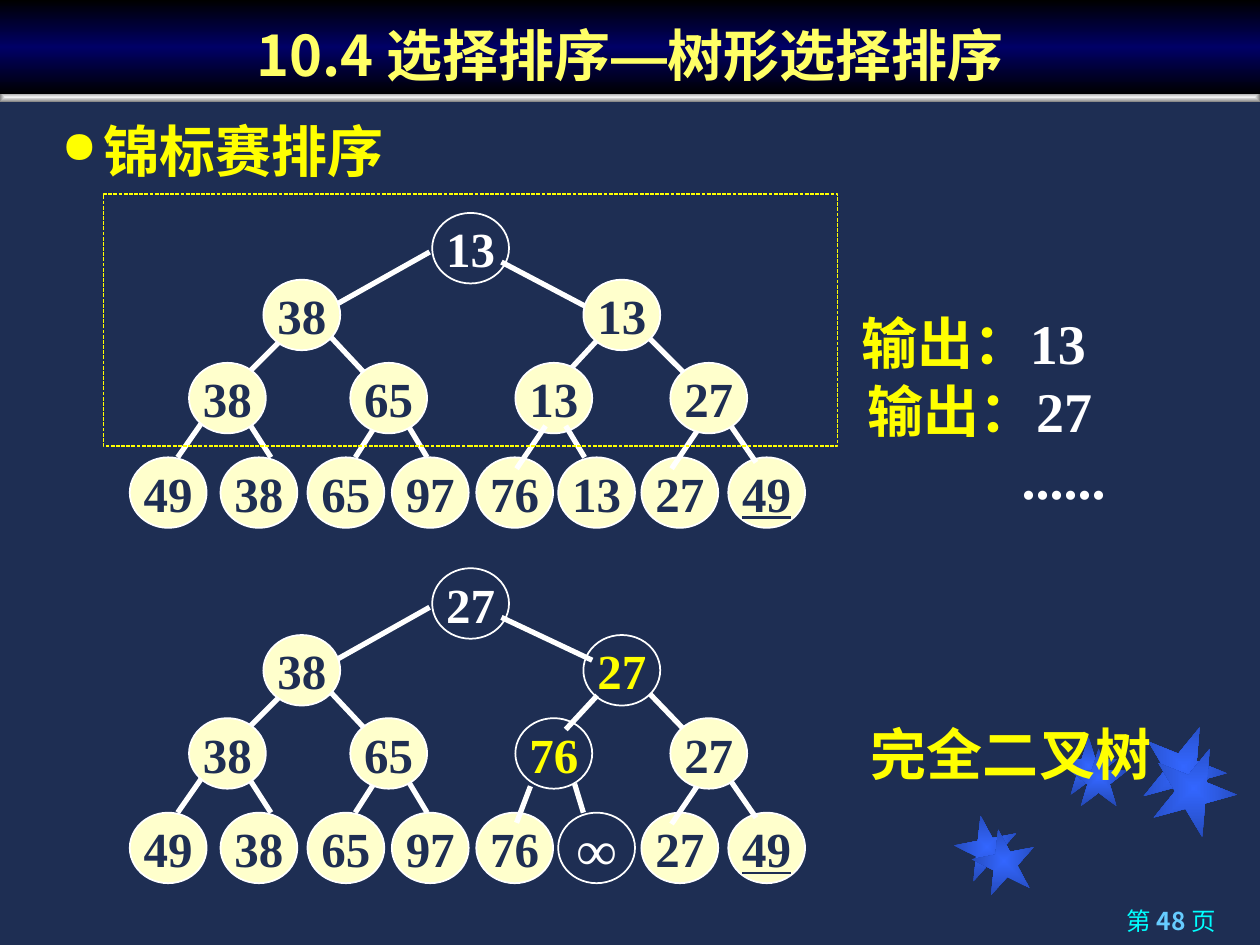
"""Build a slide that shows two rounds of tournament sort as binary trees."""
from lxml import etree
from pptx import Presentation
from pptx.dml.color import RGBColor
from pptx.enum.dml import MSO_LINE
from pptx.enum.shapes import MSO_CONNECTOR, MSO_SHAPE
from pptx.enum.text import MSO_ANCHOR, PP_ALIGN
from pptx.oxml import parse_xml
from pptx.oxml.ns import qn
from pptx.util import Inches, Pt

STAR, OVAL, RECTANGLE = MSO_SHAPE.STAR_5_POINT, MSO_SHAPE.OVAL, MSO_SHAPE.RECTANGLE
STRAIGHT, DASH = MSO_CONNECTOR.STRAIGHT, MSO_LINE.SQUARE_DOT
LEFT, CENTER, RIGHT = PP_ALIGN.LEFT, PP_ALIGN.CENTER, PP_ALIGN.RIGHT
MIDDLE, BOTTOM = MSO_ANCHOR.MIDDLE, MSO_ANCHOR.BOTTOM
DRAWING = "http://schemas.openxmlformats.org/drawingml/2006/main"
SANS, SERIF, DASH_FONT = "Noto Sans CJK SC", "Times New Roman", "Arial"
COLORS = {
    "navy": "1E2E53", "white": "FFFFFF", "yellow": "FFFF00", "title": "FFFF66",
    "cream": "FFFFCC", "cyan": "00FFFF", "sky": "66CCFF",
}
RGB = {name: RGBColor.from_string(value) for name, value in COLORS.items()}


def write(para, spans, size, align=LEFT):
    """Fill a paragraph with (text, font, color, bold) spans."""
    para.alignment = align
    for text, font, color, bold in spans:
        span = para.add_run()
        span.text = text
        span.font.name, span.font.size, span.font.bold = font, Pt(size), bold
        span.font.color.rgb = RGB[color]
        latin = span.font._element.find(qn("a:latin"))
        east_asian = etree.Element(qn("a:ea"), typeface=SANS if font == SERIF else font)
        latin.addnext(east_asian)


def fill_gradient(shape, stops, direction):
    """Give a shape a gradient of (percent, hex) stops."""
    stop_xml = "".join(
        f'<a:gs pos="{percent * 1000}"><a:srgbClr val="{color}"/></a:gs>' for percent, color in stops
    )
    shape.fill.background()
    empty = shape.element.spPr.find(qn("a:noFill"))
    gradient = parse_xml(
        f'<a:gradFill xmlns:a="{DRAWING}" rotWithShape="1"><a:gsLst>{stop_xml}</a:gsLst>{direction}</a:gradFill>'
    )
    empty.getparent().replace(empty, gradient)


FROM_CENTER = '<a:path path="rect"><a:fillToRect l="50000" t="50000" r="50000" b="50000"/></a:path>'
DOWNWARD = '<a:lin ang="5400000" scaled="0"/>'

deck = Presentation()
deck.slide_width, deck.slide_height = Inches(10), Inches(7.5)
page = deck.slides.add_slide(deck.slide_layouts[5])
page.background.fill.solid()
page.background.fill.fore_color.rgb = RGB["navy"]

stars = [
    (7.58, 6.47, 0.5, 349), (8.41, 5.85, 0.46, 0), (9.06, 5.75, 0.67, 22),
    (7.72, 6.58, 0.5, 349), (8.49, 5.94, 0.46, 0), (9.14, 5.92, 0.67, 22),
]
for left, top, size, angle in stars:
    star = page.shapes.add_shape(STAR, Inches(left), Inches(top), Inches(size), Inches(size))
    star.rotation = angle
    star.shadow.inherit = False
    star.line.fill.background()
    fill_gradient(star, [(0, "3366FF"), (100, "2449B6")], FROM_CENTER)

bar = page.shapes.add_shape(RECTANGLE, 0, Inches(0.73), Inches(10), Inches(0.08))
bar.shadow.inherit = False
bar.line.fill.background()
fill_gradient(bar, [(0, "F2F2F2"), (100, "808080")], FROM_CENTER)

title = page.shapes.title
title.left, title.top, title.width, title.height = 0, 0, Inches(10), Inches(0.75)
fill_gradient(title, [(0, "000000"), (50, "000066"), (100, "000000")], DOWNWARD)
title.text_frame.vertical_anchor = BOTTOM
title_spans = [("10.4 选择排序", SANS), ("—", DASH_FONT), ("树形选择排序", SANS)]
write(title.text_frame.paragraphs[0], [(text, font, "title", True) for text, font in title_spans], 32, CENTER)
bar.element.addnext(title.element)

texts = [
    (7.12, 7.14, 2.63, 0.36, 14, RIGHT,
     [[("第 ", SANS, "cyan", False), ("48 ", SANS, "sky", True), ("页", SANS, "cyan", False)]]),
    (0.39, 0.82, 9.3, 0.69, 32, LEFT, [[("锦标赛排序", SERIF, "yellow", True)]]),
    (6.74, 2.4, 2.75, 0.64, 32, LEFT,
     [[("输出：", SERIF, "yellow", True), ("13", SERIF, "white", True)]]),
    (6.79, 2.94, 2.75, 1.18, 32, LEFT,
     [[("输出：", SERIF, "yellow", True), ("27", SERIF, "white", True)],
      [("......", SERIF, "white", True)]]),
    (6.65, 5.66, 2.75, 0.64, 32, CENTER, [[("完全二叉树", SERIF, "yellow", True)]]),
]
boxes = []
for left, top, width, height, size, align, lines in texts:
    box = page.shapes.add_textbox(Inches(left), Inches(top), Inches(width), Inches(height))
    box.text_frame.word_wrap = True
    for index, spans in enumerate(lines):
        para = box.text_frame.add_paragraph() if index else box.text_frame.paragraphs[0]
        write(para, spans, size, align)
    boxes.append(box)

heading = boxes[1].text_frame.paragraphs[0]
heading.line_spacing = 1.1
bullet = heading._p.get_or_add_pPr()
bullet.set("marL", str(Inches(0.33)))
bullet.set("indent", str(Inches(-0.33)))
bullet_color = etree.SubElement(bullet, qn("a:buClr"))
etree.SubElement(bullet_color, qn("a:srgbClr"), val=COLORS["yellow"])
etree.SubElement(bullet, qn("a:buSzPct"), val="80000")
etree.SubElement(bullet, qn("a:buChar"), char="●")
dots = boxes[3].text_frame.paragraphs[1]
dots._p.get_or_add_pPr().set("marL", str(Inches(1.22)))

places = [(left, 3.63) for left in (1.03, 1.75, 2.44, 3.11, 3.78, 4.43, 5.09, 5.78)]
places += [(left, 2.88) for left in (4.09, 1.5, 2.78, 5.32)]
places += [(2.09, 2.22), (4.63, 2.22), (3.43, 1.69)]
upper_edges = [
    (2.68, 2.41, 3.41, 2), (2.63, 2.68, 2.93, 3), (2.3, 2.63, 1.99, 2.94),
    (4.74, 2.7, 4.49, 2.97),
]
lower_edges = [
    (1.64, 3.3, 1.41, 3.63), (2.15, 3.63, 1.99, 3.38), (2.98, 3.38, 2.82, 3.63),
    (3.39, 3.63, 3.24, 3.38), (5.56, 3.38, 5.33, 3.72), (6, 3.67, 5.8, 3.38),
]
trees = [
    {"shift": 0, "values": "49 38 65 97 76 13 27 49 13 38 65 27 38 13 13",
     "hollow": {14: "white"},
     "upper": [(3.98, 2.08, 4.72, 2.47), (5.12, 2.65, 5.43, 2.96)],
     "lower": [(4.64, 3.63, 4.49, 3.38), (4.33, 3.38, 4.1, 3.72)]},
    {"shift": 2.82, "values": "49 38 65 97 76 ∞ 27 49 76 38 65 27 38 27 27",
     "hollow": {5: "white", 8: "yellow", 13: "yellow", 14: "white"},
     "upper": [(3.98, 2.08, 4.7, 2.42), (5.16, 2.69, 5.42, 2.96)],
     "lower": [(4.63, 3.63, 4.56, 3.4), (4.21, 3.42, 4.1, 3.71)]},
]
for tree in trees:
    shift = tree["shift"]
    nodes = list(enumerate(zip(places, tree["values"].split())))
    layers = [
        (upper_edges + tree["upper"], nodes[:9]),
        (lower_edges + tree["lower"], nodes[9:]),
    ]
    for edges, layer_nodes in layers:
        for start_x, start_y, end_x, end_y in edges:
            edge = page.shapes.add_connector(
                STRAIGHT, Inches(start_x), Inches(start_y + shift), Inches(end_x), Inches(end_y + shift)
            )
            edge.line.color.rgb = RGB["white"]
            edge.line.width = Pt(3)
            etree.SubElement(edge.element.spPr, qn("a:effectLst"))
        for index, ((left, top), value) in layer_nodes:
            node = page.shapes.add_shape(OVAL, Inches(left), Inches(top + shift), Inches(0.61), Inches(0.56))
            node.shadow.inherit = False
            node.line.color.rgb = RGB["white"]
            node.line.width = Pt(1)
            if index in tree["hollow"]:
                node.fill.background()
            else:
                node.fill.solid()
                node.fill.fore_color.rgb = RGB["cream"]
            node.text_frame.word_wrap = False
            node.text_frame.vertical_anchor = MIDDLE
            para = node.text_frame.paragraphs[0]
            color = tree["hollow"].get(index, "navy")
            write(para, [(value, SERIF, color, True)], 32 if value == "∞" else 28, CENTER)
            if index == 7:
                para.runs[0].font.underline = True

frame = page.shapes.add_shape(RECTANGLE, Inches(0.82), Inches(1.54), Inches(5.83), Inches(2))
frame.shadow.inherit = False
frame.fill.background()
frame.line.color.rgb = RGB["yellow"]
frame.line.width = Pt(0.75)
frame.line.dash_style = DASH

deck.save("out.pptx")
